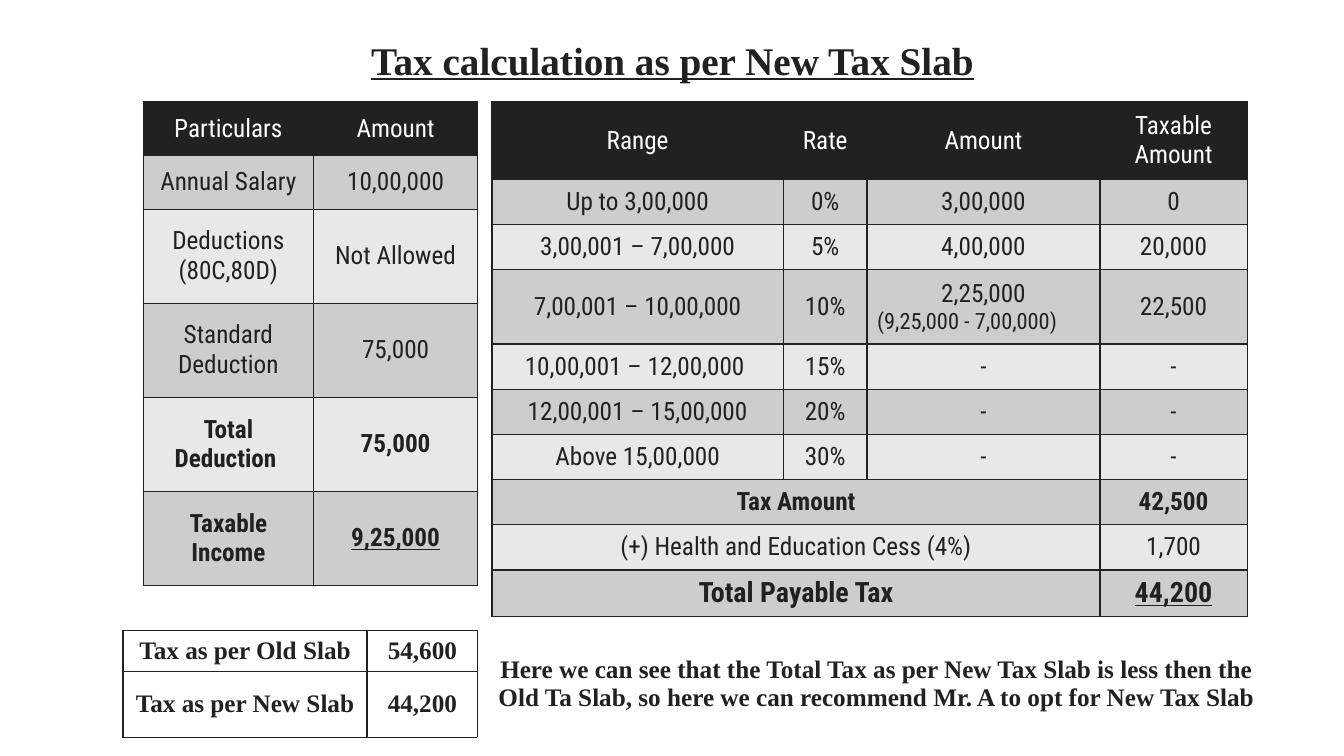
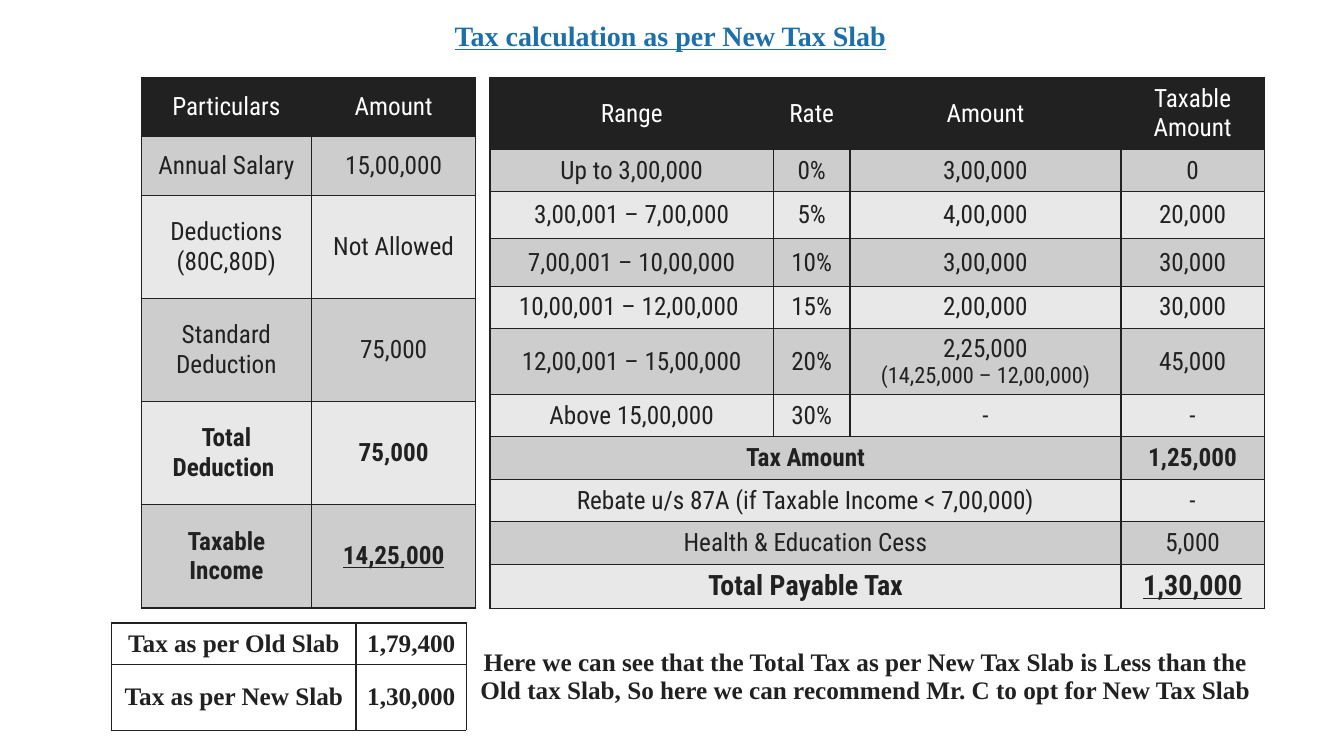
from dataclasses import dataclass

import lxml.etree
import pptx
import pptx.dml.color
import pptx.enum.text
import pptx.oxml.ns
import pptx.util

Cm = pptx.util.Cm
Pt = pptx.util.Pt
ALIGN = pptx.enum.text.PP_ALIGN
ANCHOR = pptx.enum.text.MSO_ANCHOR


@dataclass(frozen=True)
class Theme:
    ink: str = "212121"
    paper: str = "FFFFFF"
    band_dark: str = "CDCDCD"
    band_light: str = "E8E8E8"
    blue: str = "1D6FA9"
    serif: str = "Times New Roman"
    condensed: str = "Roboto Condensed"
    body: int = 18
    total: int = 20
    remark: int = 16
    title_large: int = 28
    title_small: int = 20
    border: float = 1


THEME = Theme()

# Layout in centimetres
INCOME_COLS = [4.29, 4.14]
TABLE_GAP = 0.36
VERDICT_COLS = [6.15, 2.79, 20.09]
VERDICT_ROWS = [1.04, 1.04]

# Wording shared by both slides
TITLE = "Tax calculation as per New Tax Slab"
SLAB_HEADER = ("Range", "Rate", "Amount", "Taxable\u0020Amount")
SLABS = [
    ("Up to 3,00,000", "0%"),
    ("3,00,001 – 7,00,000", "5%"),
    ("7,00,001 – 10,00,000", "10%"),
    ("10,00,001 – 12,00,000 ", "15%"),
    ("12,00,001 – 15,00,000", "20%"),
    ("Above 15,00,000", "30%"),
]
BOLD_LABELS = {"Total Deduction ", "Taxable Income", "Tax Amount", "Total Payable Tax"}


# Text and cell formatting
def style_run(r, font, size, color, bold=False, underline=False):
    r.font.name = font
    r.font.size = Pt(size)
    r.font.bold = bold
    r.font.underline = underline
    r.font.color.rgb = pptx.dml.color.RGBColor.from_string(color)


def set_borders(cell, sides="LRTB"):
    tc_pr = cell._tc.get_or_add_tcPr()
    qn = pptx.oxml.ns.qn
    for side in sides:
        ln = lxml.etree.SubElement(tc_pr, qn(f"a:ln{side}"), w=str(Pt(THEME.border)))
        fill = lxml.etree.SubElement(ln, qn("a:solidFill"))
        lxml.etree.SubElement(fill, qn("a:srgbClr"), val=THEME.ink)


def fill_cell(cell, color):
    cell.fill.solid()
    cell.fill.fore_color.rgb = pptx.dml.color.RGBColor.from_string(color)


def write_cell(cell, text, font, color, size=THEME.body, bold=False,
               underline=False, remark_align=ALIGN.CENTER):
    """Write a centred cell; a second line becomes a smaller remark."""
    cell.vertical_anchor = ANCHOR.MIDDLE
    cell.text_frame.text = text
    for i, p in enumerate(cell.text_frame.paragraphs):
        p.alignment = remark_align if i else ALIGN.CENTER
        for r in p.runs:
            style_run(r, font, THEME.remark if i else size, color, bold, underline)


# Slide elements
def add_title(s, left, top, size, color, spacing):
    sp = s.shapes.title
    sp.left, sp.top, sp.width, sp.height = Cm(left), Cm(top), Cm(26.67), Cm(1.4)
    tf = sp.text_frame
    tf.text = TITLE
    tf.word_wrap = True
    tf.auto_size = pptx.enum.text.MSO_AUTO_SIZE.NONE
    tf.vertical_anchor = ANCHOR.TOP
    p = tf.paragraphs[0]
    p.alignment = ALIGN.CENTER
    p.line_spacing = spacing
    style_run(p.runs[0], THEME.serif, size, color, bold=True, underline=True)


def add_grid(s, left, top, cols, heights):
    frame = s.shapes.add_table(len(heights), len(cols), Cm(left), Cm(top),
                               Cm(sum(cols)), Cm(sum(heights)))
    table = frame.table
    table.first_row = table.horz_banding = False
    for column, width in zip(table.columns, cols):
        column.width = Cm(width)
    for row, height in zip(table.rows, heights):
        row.height = Cm(height)
    return table


def add_banded_table(s, left, top, cols, heights, rows, total_size=THEME.body,
                     remark_align=ALIGN.CENTER):
    """Dark header, alternating bands; a short row spans all but the last column."""
    table = add_grid(s, left, top, cols, heights)
    last_col = len(cols) - 1
    for i, row in enumerate(rows):
        header, last = i == 0, i == len(rows) - 1
        band = THEME.ink if header else (THEME.band_light, THEME.band_dark)[i % 2]
        for j in range(len(cols)):
            set_borders(table.cell(i, j))
            fill_cell(table.cell(i, j), band)
        places = range(len(cols))
        if len(row) < len(cols):
            table.cell(i, 0).merge(table.cell(i, last_col - 1))
            places = (0, last_col)
        for j, text in zip(places, row):
            write_cell(table.cell(i, j), text, THEME.condensed,
                       THEME.paper if header else THEME.ink,
                       size=total_size if last else THEME.body,
                       bold=row[0] in BOLD_LABELS,
                       underline=last and j == last_col,
                       remark_align=remark_align)


def add_income_table(s, left, top, heights, salary, taxable):
    rows = [
        ("Particulars", "Amount"),
        ("Annual Salary", salary),
        ("Deductions (80C,80D)", "Not Allowed"),
        ("Standard Deduction", "75,000"),
        ("Total Deduction ", "75,000"),
        ("Taxable Income", taxable),
    ]
    add_banded_table(s, left, top, INCOME_COLS, heights, rows)


def add_slab_table(s, income_left, top, cols, heights, amounts, summary,
                   remark_align=ALIGN.CENTER):
    left = income_left + sum(INCOME_COLS) + TABLE_GAP
    rows = [SLAB_HEADER]
    rows += [slab + amount for slab, amount in zip(SLABS, amounts)]
    rows += summary
    add_banded_table(s, left, top, cols, heights, rows, THEME.total, remark_align)


def add_verdict_table(s, left, top, old_tax, new_tax, verdict):
    table = add_grid(s, left, top, VERDICT_COLS, VERDICT_ROWS)
    rows = [("Tax as per Old Slab", old_tax, verdict), ("Tax as per New Slab", new_tax)]
    for i, row in enumerate(rows):
        for j in range(len(VERDICT_COLS)):
            set_borders(table.cell(i, j), "L" if j == 2 else "LRTB")
            fill_cell(table.cell(i, j), THEME.paper)
    table.cell(0, 2).merge(table.cell(1, 2))
    for i, row in enumerate(rows):
        for j, text in enumerate(row):
            write_cell(table.cell(i, j), text, THEME.serif, THEME.ink, bold=True)


# Slides
def build_mr_a(s):
    left, top = 3.61, 2.57
    add_title(s, left, 0.91, THEME.title_large, THEME.ink, 0.9)
    add_income_table(s, left, top, [1.35] * 2 + [2.37] * 4, "10,00,000", "9,25,000")
    add_slab_table(
        s, left, top, [7.34, 2.11, 5.87, 3.71],
        [1.94, 1.14, 1.14, 1.88] + [1.14] * 5 + [1.17],
        [("3,00,000", "0"), ("4,00,000", "20,000"),
         ("2,25,000\n(9,25,000 - 7,00,000)", "22,500"),
         ("-", "-"), ("-", "-"), ("-", "-")],
        [("Tax Amount", "42,500"),
         ("(+) Health and Education Cess (4%)", "1,700"),
         ("Total Payable Tax", "44,200")],
        remark_align=ALIGN.JUSTIFY)
    add_verdict_table(
        s, 3.1, 15.88, "54,600", "44,200",
        "Here we can see that the Total Tax as per New Tax Slab is less then the "
        "Old Ta Slab, so here we can recommend Mr. A to opt for New Tax Slab")


def build_mr_c(s):
    left, top = 3.56, 1.96
    add_title(s, left, 0.41, THEME.title_small, THEME.blue, 0.94)
    add_income_table(s, left, top, [1.48] * 2 + [2.6] * 4, "15,00,000", "14,25,000")
    add_slab_table(
        s, left, top, [7.14, 1.93, 6.83, 3.61],
        [1.8, 1.07, 1.19, 1.19, 1.07, 1.64] + [1.07] * 4 + [1.11],
        [("3,00,000", "0"), ("4,00,000", "20,000"), ("3,00,000", "30,000"),
         ("2,00,000", "30,000"),
         ("2,25,000\n(14,25,000 – 12,00,000)", "45,000"), ("-", "-")],
        [("Tax Amount", "1,25,000"),
         ("Rebate u/s 87A (if Taxable Income < 7,00,000)", "-"),
         ("Health & Education Cess", "5,000"),
         ("Total Payable Tax", "1,30,000")])
    add_verdict_table(
        s, 2.82, 15.7, "1,79,400", "1,30,000",
        "Here we can see that the Total Tax as per New Tax Slab is Less than the "
        "Old tax Slab, So here we can recommend Mr. C to opt for New Tax Slab")


def main():
    prs = pptx.Presentation()
    prs.slide_width, prs.slide_height = Cm(33.87), Cm(19.05)
    title_only = prs.slide_layouts[5]
    for build in (build_mr_a, build_mr_c):
        build(prs.slides.add_slide(title_only))
    prs.save("out.pptx")


if __name__ == "__main__":
    main()
